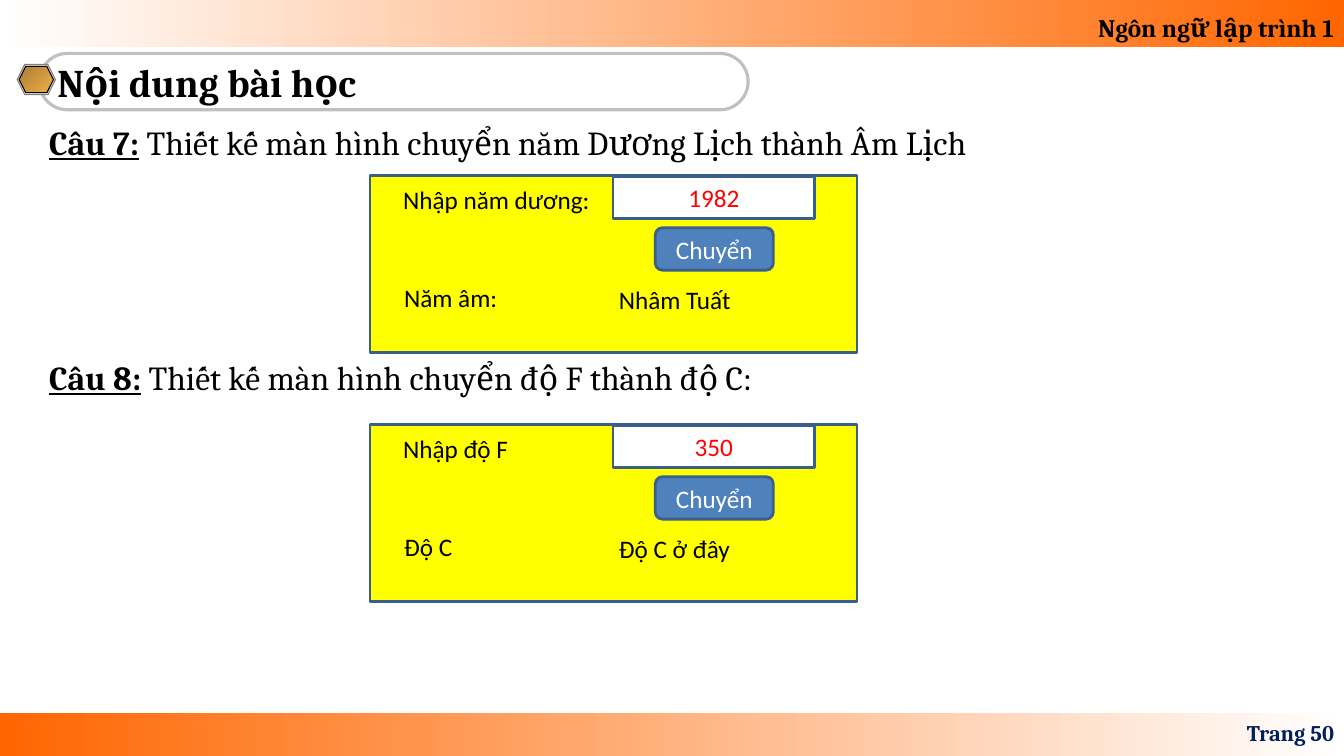
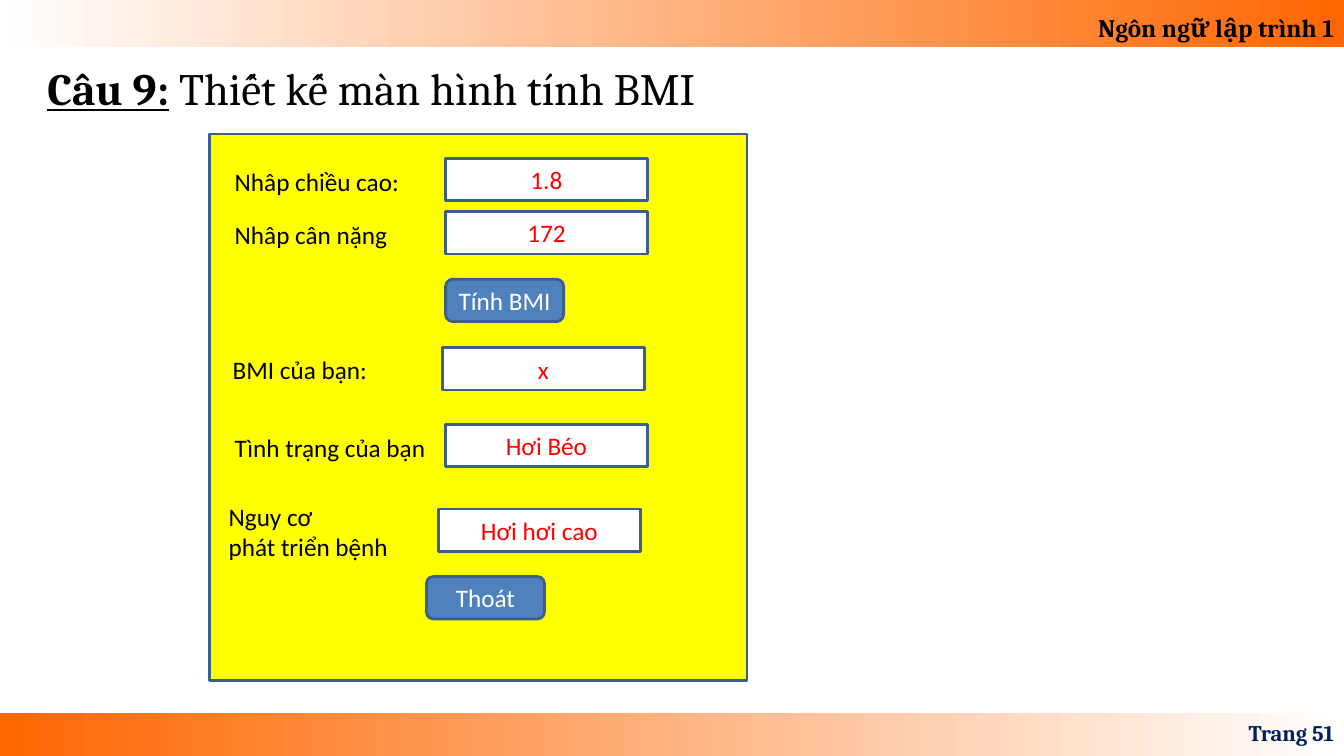
import pptx
import pptx.dml.color
import pptx.enum.shapes
import pptx.enum.text
import pptx.util

Inches = pptx.util.Inches
Shape = pptx.enum.shapes.MSO_SHAPE
Align = pptx.enum.text.PP_ALIGN
Anchor = pptx.enum.text.MSO_ANCHOR
AutoSize = pptx.enum.text.MSO_AUTO_SIZE


def color(value):
    return pptx.dml.color.RGBColor.from_string(value)


class FormDeck:
    """Holds the style, the deck and the current slide."""

    HEADING_FONT, FORM_FONT = "Cambria", "Calibri"
    BLACK, WHITE, ORANGE, NAVY = "000000", "FFFFFF", "FF6600", "002060"
    YELLOW, BORDER, BLUE, RED = "FFFF00", "3A5F8C", "4F81BD", "FF0000"
    SILVER = "C0C0C0"
    WIDTH, HEIGHT = 13.33, 7.5
    FIELD_SIZE, BUTTON_SIZE = (2, 0.42), (1.17, 0.42)

    def __init__(self):
        self.deck = pptx.Presentation()
        self.deck.slide_width = Inches(self.WIDTH)
        self.deck.slide_height = Inches(self.HEIGHT)
        self.page = None

    # Basic elements
    def shape(self, kind, left, top, width, height, fill=None, line=None, weight=2):
        shape = self.page.shapes.add_shape(
            kind, Inches(left), Inches(top), Inches(width), Inches(height))
        shape.shadow.inherit = False
        if isinstance(fill, tuple):
            shape.fill.gradient()
            stops = shape.fill.gradient_stops
            for position, (stop, value) in enumerate(zip(stops, fill)):
                stop.color.rgb = color(value)
                stop.position = position
            shape.fill.gradient_angle = 0
        elif fill:
            shape.fill.solid()
            shape.fill.fore_color.rgb = color(fill)
        else:
            shape.fill.background()
        if line:
            shape.line.color.rgb = color(line)
            shape.line.width = pptx.util.Pt(weight)
        else:
            shape.line.fill.background()
        return shape

    def set_text(self, box, lines, size, font, ink=BLACK, bold=None,
                 align=Align.LEFT, anchor=Anchor.TOP, wrap=True):
        """Each line is a string, or a pair of underlined mark and plain text."""
        frame = box.text_frame
        frame.auto_size = AutoSize.NONE
        frame.word_wrap = wrap
        frame.vertical_anchor = anchor
        for index, line in enumerate(lines):
            para = frame.add_paragraph() if index else frame.paragraphs[0]
            para.alignment = align
            para.font.size = pptx.util.Pt(size)
            para.font.name = font
            para.font.color.rgb = color(ink)
            para.font.bold = bold
            if isinstance(line, tuple):
                mark, text = line
                span = para.add_run()
                span.text = mark
                span.font.bold = span.font.underline = True
                para.add_run().text = text
            else:
                para.add_run().text = line

    def text(self, left, top, width, height, lines, size, font, **style):
        box = self.page.shapes.add_textbox(
            Inches(left), Inches(top), Inches(width), Inches(height))
        self.set_text(box, lines, size, font, **style)

    # Parts every slide shares
    def new_page(self, number):
        self.page = self.deck.slides.add_slide(self.deck.slide_layouts[5])
        self.shape(Shape.RECTANGLE, 0, 7.07, self.WIDTH, 0.43,
                   (self.ORANGE, self.WHITE))
        header = self.shape(Shape.RECTANGLE, 0, -0.1, self.WIDTH, 0.57,
                            (self.WHITE, self.ORANGE))
        self.set_text(header, ["Ngôn ngữ lập trình 1"], 18, self.HEADING_FONT,
                      bold=True, align=Align.RIGHT, anchor=Anchor.BOTTOM)
        self.text(10.22, 7.07, 3.11, 0.4, [f"Trang {number}"], 16,
                  self.HEADING_FONT, ink=self.NAVY, bold=True,
                  align=Align.RIGHT, anchor=Anchor.MIDDLE)

    def title(self, left, top, width, height, line, size, **style):
        title = self.page.shapes.title
        title.left, title.top = Inches(left), Inches(top)
        title.width, title.height = Inches(width), Inches(height)
        self.set_text(title, [line], size, self.HEADING_FONT, wrap=False, **style)

    def title_frame(self):
        capsule = self.shape(Shape.ROUNDED_RECTANGLE, 0.39, 0.53, 7.03, 0.56,
                             line=self.SILVER, weight=2.25)
        capsule.adjustments[0] = 0.5
        self.shape(Shape.HEXAGON, 0.17, 0.64, 0.38, 0.3, "E6E6E6", "808080", 0.75)
        gem = self.shape(Shape.HEXAGON, 0.19, 0.66, 0.34, 0.26,
                         ("AB7E34", "EFB049"), self.BLACK, 0.75)
        gem.fill.gradient_angle = 315

    def question(self, top, mark, text):
        self.text(0.39, top, 12.5, 0.55, [(mark, text)], 24, self.HEADING_FONT)

    # Parts of the drawn forms
    def panel(self, left, top, width, height):
        self.shape(Shape.RECTANGLE, left, top, width, height, self.YELLOW, self.BORDER)

    def label(self, left, top, *lines):
        self.text(left, top, 2.1, 0.1 + 0.3 * len(lines), lines, 18,
                  self.FORM_FONT, wrap=False)

    def control(self, kind, left, top, size, text, fill, ink):
        box = self.shape(kind, left, top, *size, fill, self.BORDER)
        self.set_text(box, [text], 18, self.FORM_FONT, ink=ink,
                      align=Align.CENTER, anchor=Anchor.MIDDLE)

    def field(self, left, top, text):
        self.control(Shape.RECTANGLE, left, top, self.FIELD_SIZE, text,
                     self.WHITE, self.RED)

    def button(self, left, top, text):
        self.control(Shape.ROUNDED_RECTANGLE, left, top, self.BUTTON_SIZE, text,
                     self.BLUE, self.WHITE)

    def converter(self, top, prompt, value, result_name, result):
        self.panel(3.67, top, 4.83, 1.76)
        self.label(3.9, top + 0.04, prompt)
        self.field(6.08, top + 0.01, value)
        self.button(6.5, top + 0.52, "Chuyển")
        self.label(3.91, top + 1.01, result_name)
        self.label(6.04, top + 1.03, result)


def main():
    form = FormDeck()

    # Two converter forms
    form.new_page(50)
    form.title_frame()
    form.title(0.47, 0.53, 6.9, 0.56, "Nội dung bài học", 28,
               bold=True, anchor=Anchor.MIDDLE)
    form.question(1.16, "Câu 7:",
                  " Thiết kế màn hình chuyển năm Dương Lịch thành Âm Lịch")
    form.converter(1.74, "Nhập năm dương:", "1982", "Năm âm:", "Nhâm Tuất")
    form.question(3.49, "Câu 8:", " Thiết kế màn hình chuyển độ F thành độ C:")
    form.converter(4.21, "Nhập độ F", "350", "Độ C", "Độ C ở đây")

    # BMI form
    form.new_page(51)
    form.title(0.37, 0.55, 6.78, 0.64, ("Câu 9:", " Thiết kế màn hình tính BMI"), 32)
    form.panel(2.08, 1.33, 5.33, 5.42)
    rows = [
        (2.23, 1.6, ["Nhâp chiều cao:"], 4.42, 1.57, "1.8"),
        (2.23, 2.13, ["Nhâp cân nặng"], 4.42, 2.1, "172"),
        (2.21, 3.47, ["BMI của bạn:"], 4.39, 3.45, "x"),
        (2.23, 4.24, ["Tình trạng của bạn"], 4.42, 4.21, "Hơi Béo"),
        (2.17, 4.92, ["Nguy cơ", "phát triển bệnh"], 4.35, 5.05, "Hơi hơi cao"),
    ]
    for label_left, label_top, lines, field_left, field_top, value in rows:
        form.label(label_left, label_top, *lines)
        form.field(field_left, field_top, value)
    form.button(4.42, 2.77, "Tính BMI")
    form.button(4.23, 5.72, "Thoát")

    form.deck.save("out.pptx")


if __name__ == "__main__":
    main()
